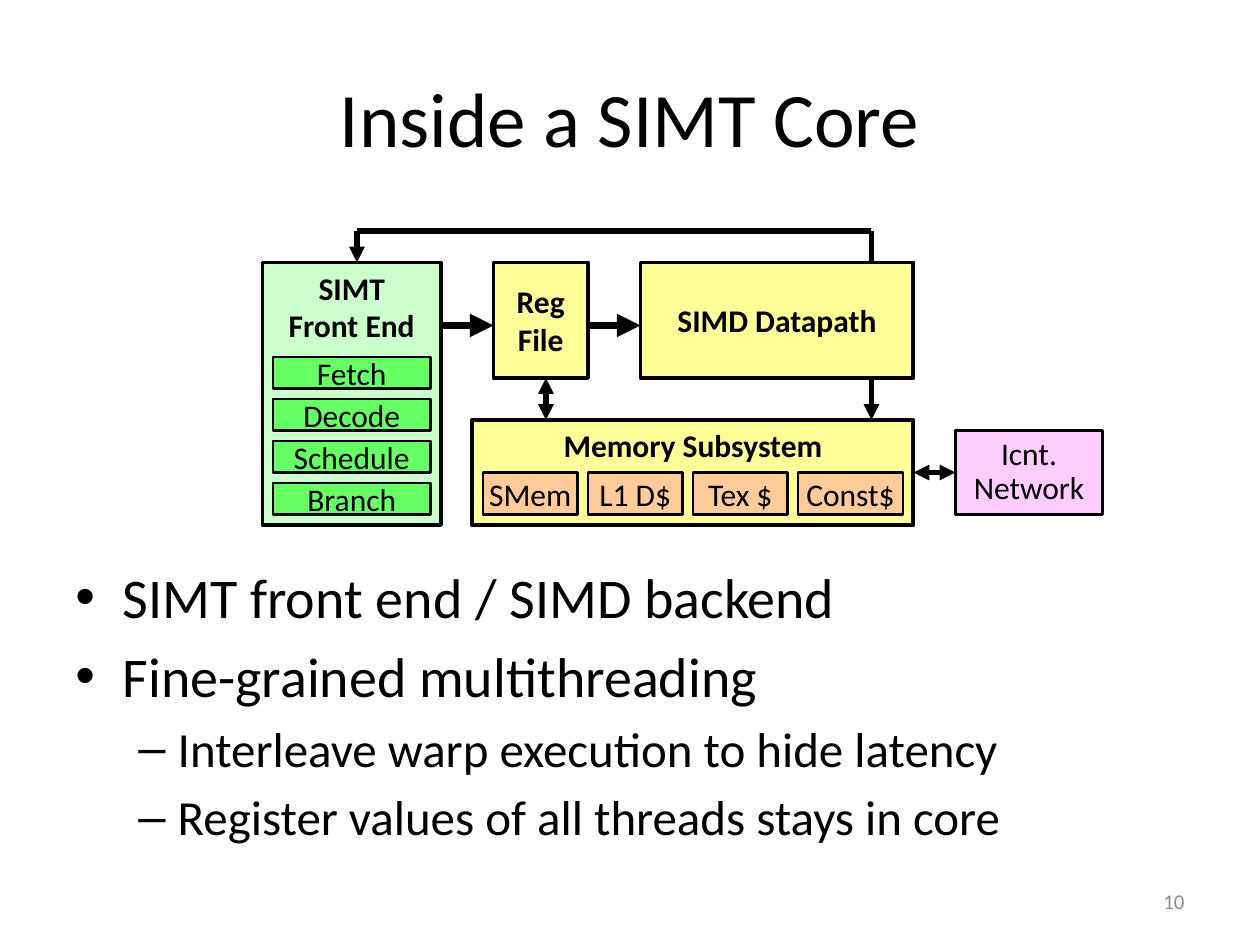
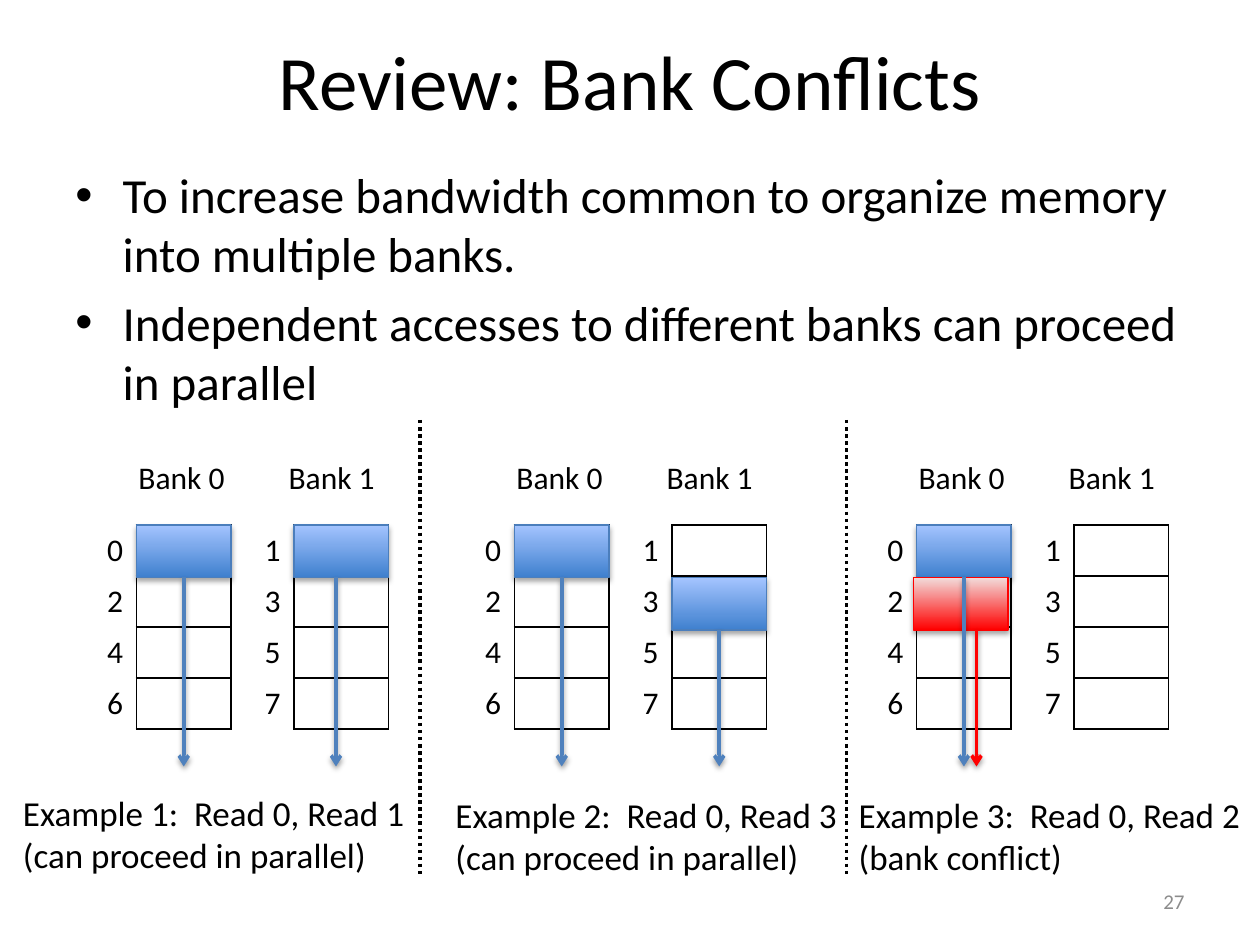
from lxml.etree import SubElement
from pptx import Presentation
from pptx.dml.color import RGBColor
from pptx.enum.dml import MSO_LINE
from pptx.enum.shapes import MSO_CONNECTOR, MSO_SHAPE
from pptx.enum.text import MSO_ANCHOR as ANCHOR, MSO_AUTO_SIZE as FIT, PP_ALIGN as ALIGN
from pptx.oxml.ns import qn
from pptx.util import Emu, Pt

FONT = "Calibri"
CELL = 76200  # grid cell of 1/12 inch: the slide is 120 columns by 90 rows
COLOURS = {
    "black": "000000", "number": "8C8C8C",
    "front": "CCFFCC", "stage": "66FF66", "core": "FFFF99",
    "cache": "FFCC99", "network": "FFCCFF",
    "blue line": "4F81BD", "blue edge": "4B7EBC",
    "blue deep": "3F80CE", "blue pale": "A4C4FF",
    "red": "FF0000", "red pale": "F2DCDB",
}
# Block gradient (bottom, top), block edge, arrow colour
READ_STYLES = {
    "blue": ("blue deep", "blue pale", "blue edge", "blue line"),
    "red": ("red", "red pale", "red", "red"),
}
BULLETS = [("•", 4.5, -4.5), ("–", 9.75, -3.75)]  # mark, margin, indent in cells

BANK_TOP, BANK_STEP, ROW_STEP = 50, 15, 5
LABEL_WIDTH, STORE_WIDTH, ROW_HEIGHT = 4, 9, 4.86


def grid(*cells):
    return [Emu(round(cell * CELL)) for cell in cells]


def rgb(name):
    return RGBColor.from_string(COLOURS[name])


# ---- Text ----
def write(frame, text, size=18, colour="black", bold=False, align=ALIGN.LEFT,
          anchor=ANCHOR.TOP, wrap=False, spacing=None):
    frame.word_wrap = wrap
    frame.vertical_anchor = anchor
    for index, line in enumerate(text.split("\n")):
        para = frame.paragraphs[0] if index == 0 else frame.add_paragraph()
        para.alignment = align
        if spacing:
            para.line_spacing = spacing
        span = para.add_run()
        span.text = line
        font = span.font
        font.name, font.size, font.bold = FONT, Pt(size), bold
        font.color.rgb = rgb(colour)


def add_text(page, place, text, **style):
    box = page.shapes.add_textbox(*grid(*place))
    write(box.text_frame, text, **style)
    return box


def add_label(page, place, text, size=18):
    box = add_text(page, place, text, size=size)
    box.text_frame.auto_size = FIT.SHAPE_TO_FIT_TEXT


def add_bullets(page, place, items):
    """Each item is (level, size, text)."""
    frame = add_text(page, place, "\n".join(text for _, _, text in items),
                     wrap=True).text_frame
    for index, (para, (level, size, _)) in enumerate(zip(frame.paragraphs, items)):
        mark, margin, indent = BULLETS[level]
        props = para._p.get_or_add_pPr()
        props.set("marL", str(round(margin * CELL)))
        props.set("indent", str(round(indent * CELL)))
        SubElement(props, qn("a:buFont"), typeface="Arial")
        SubElement(props, qn("a:buChar"), char=mark)
        para.level = level
        para.runs[0].font.size = Pt(size)
        if index:
            para.space_before = Pt(size * 0.2)


def add_page(deck, title, title_top, number):
    page = deck.slides.add_slide(deck.slide_layouts[6])
    add_text(page, (6, title_top, 108, 15), title, size=44, wrap=True,
             align=ALIGN.CENTER, anchor=ANCHOR.MIDDLE)
    add_text(page, (86, 83.4, 28, 4.8), number, size=12, colour="number",
             wrap=True, align=ALIGN.RIGHT, anchor=ANCHOR.MIDDLE)
    return page


# ---- Shapes and lines ----
def set_shadow(item, alpha=None, distance=1.8):
    """Replace the theme shadow by none, or by a soft one below."""
    props = item._element.spPr
    effects = props.find(qn("a:effectLst"))
    if effects is None:
        effects = SubElement(props, qn("a:effectLst"))
    if alpha:
        shadow = SubElement(effects, qn("a:outerShdw"), blurRad=str(Pt(3.1)),
                            dist=str(Pt(distance)), dir="5400000", rotWithShape="0")
        tone = SubElement(shadow, qn("a:srgbClr"), val=COLOURS["black"])
        SubElement(tone, qn("a:alpha"), val=str(alpha * 1000))


def add_block(page, place, edge="black", width=1.5):
    block = page.shapes.add_shape(MSO_SHAPE.RECTANGLE, *grid(*place))
    block.shadow.inherit = False
    block.line.color.rgb = rgb(edge)
    block.line.width = Pt(width)
    return block


def add_unit(page, place, text, fill, width=1.5, anchor=ANCHOR.MIDDLE, **style):
    unit = add_block(page, place, width=width)
    unit.fill.solid()
    unit.fill.fore_color.rgb = rgb(fill)
    write(unit.text_frame, text, align=ALIGN.CENTER, anchor=anchor, **style)


def add_line(page, start, end, width=3, colour="black", head=None, tail=None,
             dash=None, shadow=None):
    line = page.shapes.add_connector(MSO_CONNECTOR.STRAIGHT, *grid(*start, *end))
    line.line.color.rgb = rgb(colour)
    line.line.width = Pt(width)
    if dash:
        line.line.dash_style = dash
    for tag, kind in (("a:headEnd", head), ("a:tailEnd", tail)):
        if kind:
            SubElement(line.line._ln, qn(tag), type=kind)
    set_shadow(line, shadow, 1.6)


# ---- Memory banks ----
def set_borders(cell, sides):
    props = cell._tc.get_or_add_tcPr()
    for side in "LRTB":
        drawn = side in sides
        edge = SubElement(props, qn(f"a:ln{side}"), w=str(Pt(1 if drawn else 0)))
        paint = SubElement(edge, qn("a:solidFill" if drawn else "a:noFill"))
        if drawn:
            SubElement(paint, qn("a:srgbClr"), val=COLOURS["black"])


def add_bank(page, left, bank):
    add_label(page, (left + 3 + 14.3 * bank, 43, 10.7, 4.8), f"Bank {bank}")
    place = (left + BANK_STEP * bank, BANK_TOP, LABEL_WIDTH + STORE_WIDTH, 4 * ROW_HEIGHT)
    table = page.shapes.add_table(4, 2, *grid(*place)).table
    table.first_row = table.horz_banding = False
    for column, width in zip(table.columns, grid(LABEL_WIDTH, STORE_WIDTH)):
        column.width = width
    for index, row in enumerate(table.rows):
        row.height = grid(ROW_HEIGHT)[0]
        address, store = row.cells
        write(address.text_frame, str(2 * index + bank), wrap=True)
        for cell, sides in ((address, "R"), (store, "LRTB")):
            set_borders(cell, sides)
            cell.fill.background()


def add_reads(page, left, reads):
    """Each read is (bank, row, style, block shift, arrow shift)."""
    arrows = []
    for bank, row, style, block_shift, arrow_shift in reads:
        deep, pale, edge, arrow = READ_STYLES[style]
        store = left + BANK_STEP * bank + LABEL_WIDTH
        top = BANK_TOP + ROW_STEP * row
        block = add_block(page, (store + block_shift, top, STORE_WIDTH, ROW_STEP),
                          edge, 0.75)
        block.fill.gradient()
        block.fill.gradient_angle = 90
        for stop, name in zip(block.fill.gradient_stops, (deep, pale)):
            stop.color.rgb = rgb(name)
        set_shadow(block, 35)
        arrows.append((store + STORE_WIDTH / 2 + arrow_shift, top + ROW_STEP, arrow))
    for x, top, colour in arrows:
        add_line(page, (x, top), (x, 73), 2, colour, tail="arrow", shadow=38)


# ---- Slides ----
def build_core(deck):
    page = add_page(deck, "Inside a SIMT Core", 3.6, "10")
    add_bullets(page, (6, 53, 108, 27.4), [
        (0, 32, "SIMT front end / SIMD backend"),
        (0, 32, "Fine-grained multithreading"),
        (1, 28, "Interleave warp execution to hide latency"),
        (1, 28, "Register values of all threads stays in core"),
    ])
    # Main units
    for place, text, fill, anchor in [
        ((25, 25, 17, 25), "SIMT\nFront End", "front", ANCHOR.TOP),
        ((47, 25, 9, 11), "Reg\nFile", "core", ANCHOR.MIDDLE),
        ((61, 25, 26, 11), "SIMD Datapath", "core", ANCHOR.MIDDLE),
        ((45, 40, 42, 10), "Memory Subsystem", "core", ANCHOR.TOP),
    ]:
        add_unit(page, place, text, fill, 2.25, anchor, bold=True)
    add_unit(page, (91, 41, 14, 8), "Icnt.\nNetwork", "network", spacing=0.9)
    # Parts inside the units
    for index, stage in enumerate(["Fetch", "Decode", "Schedule", "Branch"]):
        add_unit(page, (26, 34 + 4 * index, 15, 3), stage, "stage")
    for index, (cache, width) in enumerate(
            [("SMem", 9), ("L1 D$", 9), ("Tex $", 9), ("Const$", 10)]):
        add_unit(page, (46 + 10 * index, 45, width, 4), cache, "cache")
    # Data paths
    tip = "triangle"
    for start, end, width, head, tail in [
        ((42, 31), (47, 31), 4.5, None, tip),
        ((56, 31), (61, 31), 4.5, None, tip),
        ((34, 22), (34, 25), 3, None, tip),
        ((34, 22), (83, 22), 3, None, None),
        ((83, 22), (83, 25), 3, None, None),
        ((83, 36), (83, 40), 3, None, tip),
        ((52, 36), (52, 40), 3, tip, tip),
        ((87, 45), (91, 45), 3, tip, tip),
    ]:
        add_line(page, start, end, width, head=head, tail=tail)


def build_conflicts(deck):
    page = add_page(deck, "Review: Bank Conflicts", 0.1, "27")
    add_bullets(page, (6, 15.1, 108, 59.4), [
        (0, 28, "To increase bandwidth common to organize memory into multiple banks."),
        (0, 28, "Independent accesses to different banks can proceed in parallel"),
    ])
    for x in (40, 80.6):
        add_line(page, (x, 40), (x, 83.4), 2, dash=MSO_LINE.ROUND_DOT)
    # Bank grid left, caption position, caption, reads
    for left, caption_at, caption, reads in [
        (9, (1, 74.8), "Example 1:  Read 0, Read 1\n(can proceed in parallel)",
         [(0, 0, "blue", 0, 0), (1, 0, "blue", 0, -0.5)]),
        (45, (42.2, 75), "Example 2:  Read 0, Read 3\n(can proceed in parallel)",
         [(0, 0, "blue", 0, 0), (1, 1, "blue", 0, 0)]),
        (83.3, (80.6, 75), "Example 3:  Read 0, Read 2\n(bank conflict)",
         [(0, 0, "blue", 0, 0), (0, 1, "red", -0.3, 1.2)]),
    ]:
        for bank in (0, 1):
            add_bank(page, left, bank)
        add_reads(page, left, reads)
        add_label(page, (*caption_at, 39.2, 9.2), caption, size=20)


def main():
    deck = Presentation()
    deck.slide_width, deck.slide_height = grid(120, 90)
    build_core(deck)
    build_conflicts(deck)
    deck.save("out.pptx")


if __name__ == "__main__":
    main()
